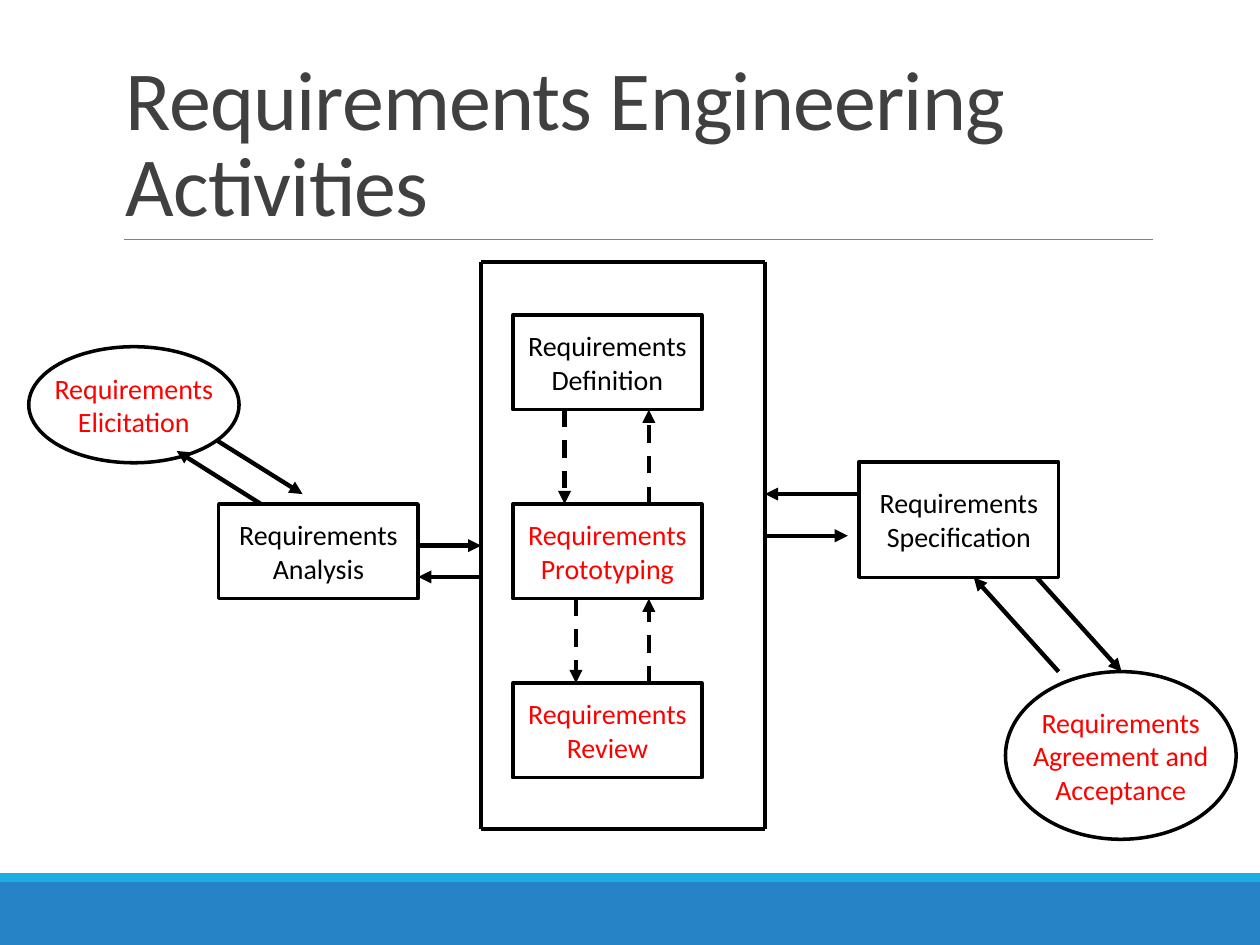
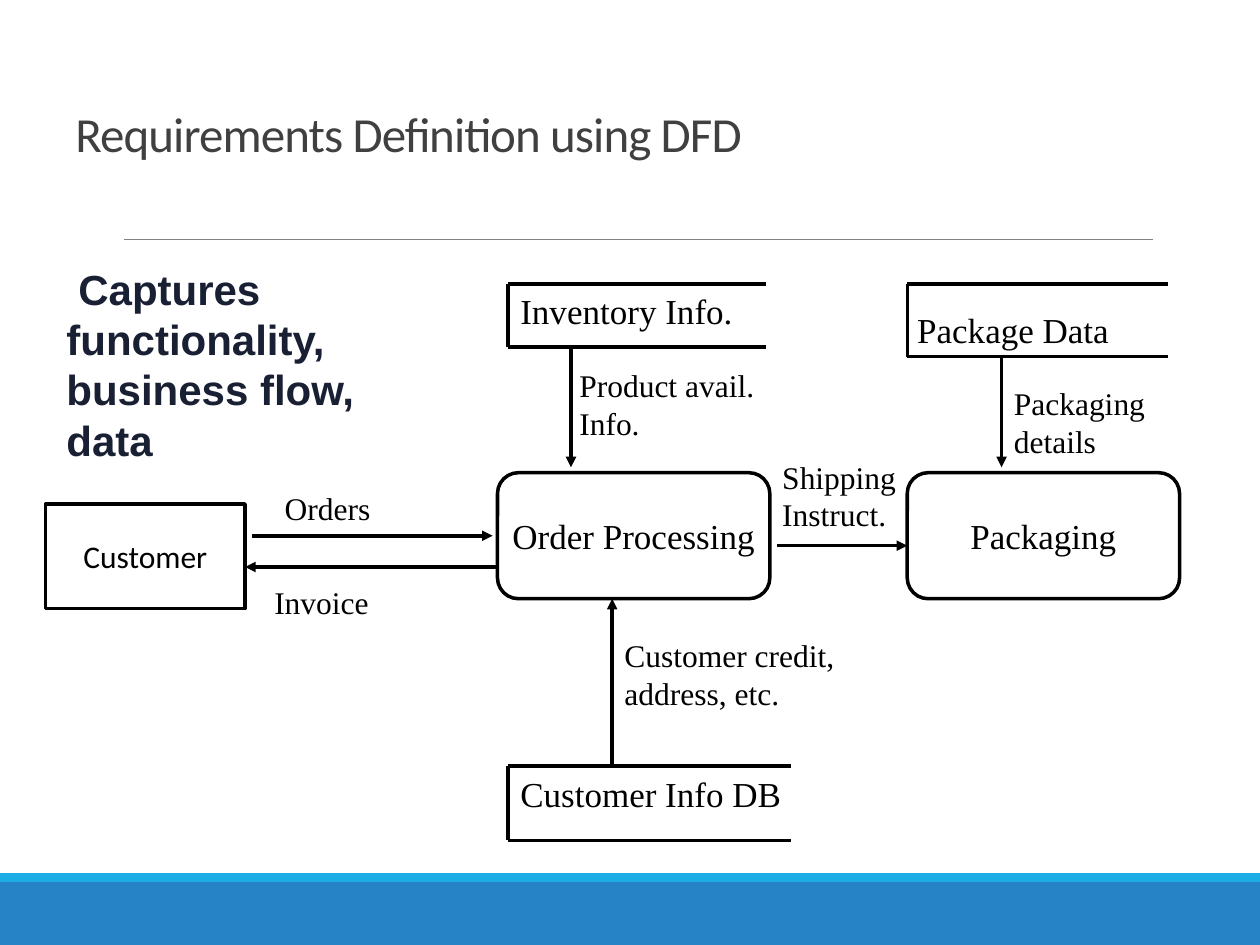
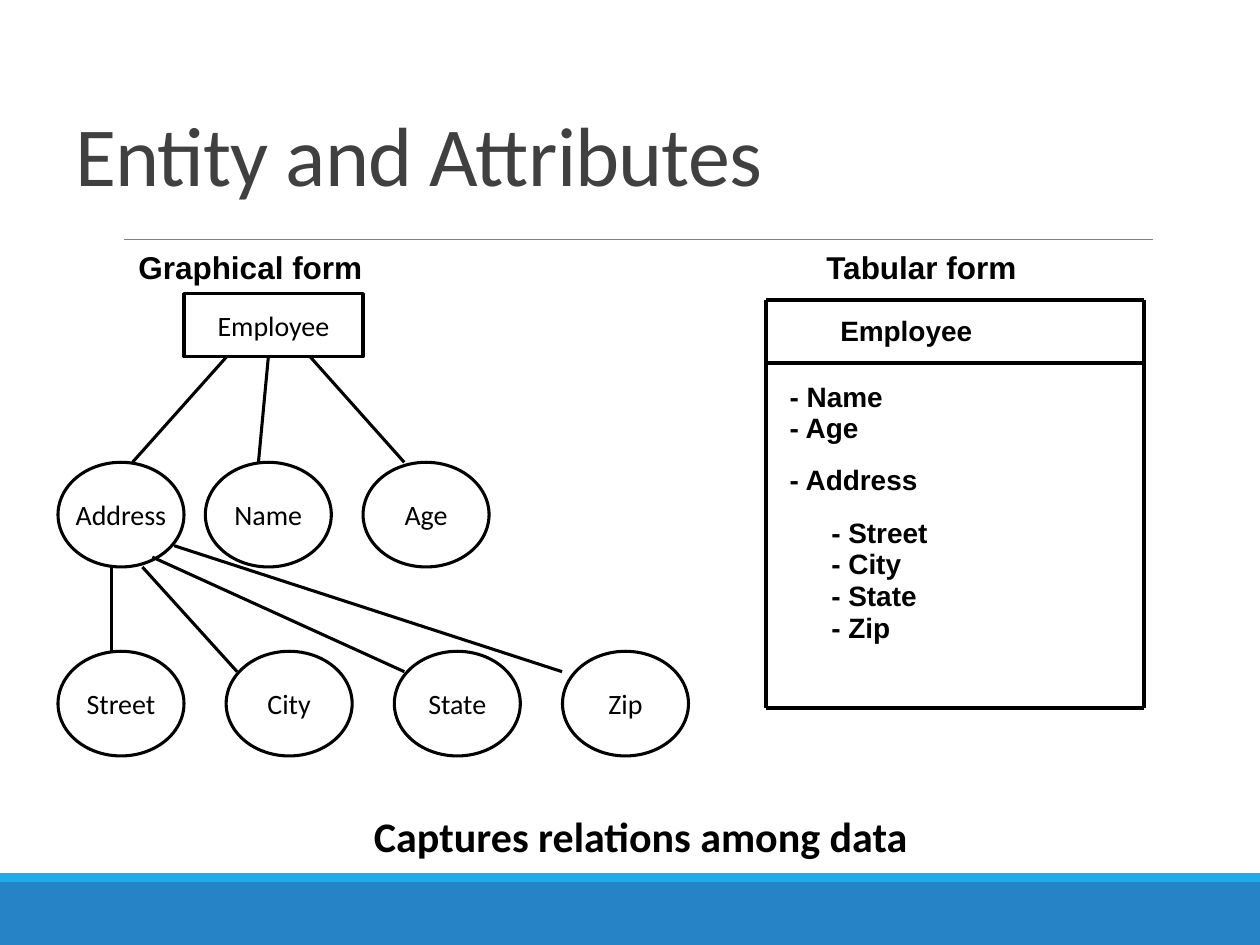
import lxml.etree
import pptx
import pptx.dml.color
import pptx.enum.dml
import pptx.enum.shapes
import pptx.enum.text
import pptx.oxml.ns
import pptx.util

Cm = pptx.util.Cm
Pt = pptx.util.Pt
RGBColor = pptx.dml.color.RGBColor
SHAPE = pptx.enum.shapes.MSO_SHAPE
ANCHOR = pptx.enum.text.MSO_ANCHOR
ALIGN = pptx.enum.text.PP_ALIGN

BLACK = RGBColor(0x00, 0x00, 0x00)
WHITE = RGBColor(0xFF, 0xFF, 0xFF)
RED = RGBColor(0xFF, 0x00, 0x00)
NAVY = RGBColor(0x1A, 0x20, 0x34)
TITLE_GRAY = RGBColor(0x40, 0x40, 0x40)
RULE_GRAY = RGBColor(0x80, 0x80, 0x80)
BAND_BLUE = RGBColor(0x26, 0x83, 0xC6)
BAND_CYAN = RGBColor(0x1C, 0xAD, 0xE4)

SANS, SERIF, BOLD_SANS = "Calibri", "Times New Roman", "Arial"

# All boxes are (left, top, width, height) and all lines (x1, y1, x2, y2), in cm.
SLIDE_WIDTH, SLIDE_HEIGHT = 25.4, 19.05
BANDS = [((0, 17.78, SLIDE_WIDTH, 1.27), BAND_BLUE), ((0, 17.6, SLIDE_WIDTH, 0.18), BAND_CYAN)]
TITLE_RULE = (2.49, 4.83, 23.24, 4.83)

# Slide 1: activities
ACTIVITIES = [
    (SHAPE.OVAL, (0.58, 6.99, 4.24, 2.34), "Requirements\nElicitation", RED),
    (SHAPE.RECTANGLE, (4.41, 10.16, 4.02, 1.91), "Requirements\nAnalysis", BLACK),
    (SHAPE.RECTANGLE, (10.34, 6.35, 3.81, 1.91), "Requirements\nDefinition", BLACK),
    (SHAPE.RECTANGLE, (10.34, 10.16, 3.81, 1.91), "Requirements\nPrototyping", RED),
    (SHAPE.RECTANGLE, (10.34, 13.77, 3.81, 1.91), "Requirements\nReview", RED),
    (SHAPE.RECTANGLE, (17.32, 9.31, 4.02, 2.33), "Requirements\nSpecification", BLACK),
    (SHAPE.OVAL, (20.27, 13.54, 4.65, 3.38), "Requirements\nAgreement and\nAcceptance", RED),
]
CORE_FRAME = (9.7, 5.28, 15.42, 16.71)
ACTIVITY_ARROWS = [
    (4.39, 8.89, 6.1, 9.96), (5.26, 10.16, 3.56, 9.09),
    (8.43, 11, 9.7, 11), (9.7, 11.63, 8.43, 11.63),
    (15.42, 10.8, 17.09, 10.8), (17.32, 9.96, 15.42, 9.96),
    (20.9, 11.64, 22.61, 13.54), (21.34, 13.54, 19.63, 11.64),
]
ITERATION_ARROWS = [
    (11.38, 8.26, 11.38, 10.16), (13.08, 10.16, 13.08, 8.26),
    (11.61, 12.07, 11.61, 13.77), (13.08, 13.77, 13.08, 12.07),
]

# Slide 2: data flow diagram
PROCESSES = [("Order Processing", 10.03), ("Packaging", 18.29)]
DATA_STORES = [  # left, top, right, bottom
    (10.24, 5.72, 15.45, 6.99), (18.29, 5.72, 23.55, 7.19), (10.24, 15.44, 15.95, 16.94),
]
FLOWS = [
    (5.08, 10.8, 9.93, 10.8), (10.03, 11.43, 4.94, 11.43),
    (12.34, 15.44, 12.34, 12.07), (11.51, 6.99, 11.51, 9.42),
    (15.67, 11, 18.29, 11), (20.19, 7.19, 20.19, 9.42),
]
STORE_LABELS = [
    ("Inventory Info.", (10.24, 5.72, 5.99, 1.09)),
    ("Package Data", (18.24, 6.1, 4.65, 1.09)),
    ("Customer Info DB", (10.24, 15.44, 6.07, 1.09)),
]
FLOW_LABELS = [
    ("Orders", (5.49, 9.73, 2.44, 1.02)),
    ("Invoice", (5.28, 11.63, 2.49, 1.02)),
    ("Customer credit,\naddress, etc.", (12.34, 12.7, 5.26, 1.78)),
    ("Product avail.\nInfo.", (11.43, 7.25, 4.32, 1.85)),
    ("Packaging\ndetails", (20.19, 7.62, 3.33, 1.78)),
    ("Shipping\nInstruct.", (15.52, 9.1, 2.95, 1.78)),
]

# Slide 3: entity and attributes
ATTRIBUTE_SIZE = (2.54, 2.11)
ATTRIBUTES = [("Address", 1.17), ("Name", 4.14), ("Age", 7.32)]
ADDRESS_PARTS = ["Street", "City", "State", "Zip"]
ADDRESS_PART_LEFT, ADDRESS_PART_STEP = 1.17, 3.39
BRANCHES = [
    (4.57, 7.19, 2.67, 9.32), (5.41, 7.19, 5.21, 9.32), (6.25, 7.19, 8.15, 9.32),
    (2.24, 11.43, 2.24, 13.13), (2.87, 11.43, 4.78, 13.54),
    (3.07, 11.23, 8.15, 13.54), (3.51, 11, 11.33, 13.54),
]
FORM_HEADINGS = [("Graphical form", 2.54), ("Tabular form", 16.41)]
FORM_LEFT, FORM_RIGHT = 15.44, 23.06
FORM_ROWS = [6.05, 7.32, 14.27]
FORM_ENTRIES = [
    ("Employee", 16.69, 6.2), ("- Name", 15.67, 7.52),
    ("- Age", 15.67, 8.15), ("- Address", 15.67, 9.19),
] + [(f"- {part}", 16.51, 10.26 + 0.64 * row) for row, part in enumerate(ADDRESS_PARTS)]


def write(shape, text, size, font_name, color=BLACK, bold=False, align=ALIGN.LEFT):
    shape.text_frame.text = text
    for paragraph in shape.text_frame.paragraphs:
        paragraph.alignment = align
        paragraph.font.size = Pt(size)
        paragraph.font.name = font_name
        paragraph.font.bold = bold
        paragraph.font.color.rgb = color


def add_label(slide, text, box, size, font_name, color=BLACK, bold=False):
    label = slide.shapes.add_textbox(*map(Cm, box))
    label.text_frame.word_wrap = True
    write(label, text, size, font_name, color, bold)
    return label


def add_filled(slide, kind, box, fill):
    shape = slide.shapes.add_shape(kind, *map(Cm, box))
    shape.shadow.inherit = False
    shape.fill.solid()
    shape.fill.fore_color.rgb = fill
    shape.line.fill.background()
    return shape


def add_node(slide, kind, box, text, size=16, font_name=SANS, color=BLACK, line_width=2):
    node = add_filled(slide, kind, box, WHITE)
    node.line.color.rgb = BLACK
    node.line.width = Pt(line_width)
    node.text_frame.word_wrap = False
    node.text_frame.vertical_anchor = ANCHOR.MIDDLE
    write(node, text, size, font_name, color, align=ALIGN.CENTER)
    return node


def add_line(slide, ends, width=2, color=BLACK, arrow=False, dashed=False):
    connector = slide.shapes.add_connector(
        pptx.enum.shapes.MSO_CONNECTOR.STRAIGHT, *map(Cm, ends))
    connector.line.color.rgb = color
    connector.line.width = Pt(width)
    if dashed:
        connector.line.dash_style = pptx.enum.dml.MSO_LINE.DASH
    qn = pptx.oxml.ns.qn
    if arrow:
        line = connector.line._get_or_add_ln()
        lxml.etree.SubElement(line, qn("a:tailEnd"), type="triangle")
    lxml.etree.SubElement(connector._element.spPr, qn("a:effectLst"))


def start_slide(presentation, title, box, size=48):
    """Add a slide with the shared bands, title rule and title."""
    slide = presentation.slides.add_slide(presentation.slide_layouts[6])
    for band, color in BANDS:
        add_filled(slide, SHAPE.RECTANGLE, band, color)
    add_line(slide, TITLE_RULE, 0.5, RULE_GRAY)
    heading = add_label(slide, title, box, size, SANS, TITLE_GRAY)
    heading.text_frame.vertical_anchor = ANCHOR.BOTTOM
    paragraph = heading.text_frame.paragraphs[0]
    paragraph.line_spacing = 0.85
    paragraph.runs[0]._r.get_or_add_rPr().set("spc", "-50")
    return slide


def build_activities(presentation):
    slide = start_slide(presentation, "Requirements Engineering Activities",
                        (2.29, 0.79, 20.96, 4.04))
    for kind, box, text, color in ACTIVITIES:
        add_node(slide, kind, box, text, color=color)
    left, top, right, bottom = CORE_FRAME
    for x in (left, right):
        add_line(slide, (x, top, x, bottom))
    for y in (top, bottom):
        add_line(slide, (left, y, right, y), 2.5)
    for ends in ACTIVITY_ARROWS:
        add_line(slide, ends, 2.5, arrow=True)
    for ends in ITERATION_ARROWS:
        add_line(slide, ends, 2.5, arrow=True, dashed=True)


def build_data_flow(presentation):
    slide = start_slide(presentation, "Requirements Definition using DFD",
                        (1.27, 0.43, 22.17, 2.97), 28)
    for name, left in PROCESSES:
        process = add_node(slide, SHAPE.ROUNDED_RECTANGLE, (left, 9.53, 5.49, 2.54),
                           name, 20, SERIF)
        process.adjustments[0] = 0.166
    add_node(slide, SHAPE.RECTANGLE, (0.92, 10.16, 4.02, 2.11), "Customer", 18)
    for left, top, right, bottom in DATA_STORES:
        add_line(slide, (left, top, left, bottom))
        for y in (top, bottom):
            add_line(slide, (left, y, right, y))
    for ends in FLOWS:
        add_line(slide, ends, arrow=True)
    for labels, size in ((STORE_LABELS, 20), (FLOW_LABELS, 18)):
        for text, box in labels:
            add_label(slide, text, box, size, SERIF)
    purpose = add_label(slide, "Captures functionality, business flow, data",
                        (1.09, 5.18, 7.34, 4.37), 24, BOLD_SANS, NAVY, True)
    properties = purpose.text_frame.paragraphs[0]._p.get_or_add_pPr()
    properties.set("indent", str(Cm(0.24)))


def build_entity(presentation):
    slide = start_slide(presentation, "Entity and Attributes", (1.27, 0.43, 18.16, 3.81))
    add_node(slide, SHAPE.RECTANGLE, (3.71, 5.92, 3.61, 1.27), "Employee", line_width=1.75)
    ovals = [(name, left, 9.32) for name, left in ATTRIBUTES]
    ovals += [(name, ADDRESS_PART_LEFT + ADDRESS_PART_STEP * column, 13.13)
              for column, name in enumerate(ADDRESS_PARTS)]
    for name, left, top in ovals:
        add_node(slide, SHAPE.OVAL, (left, top, *ATTRIBUTE_SIZE), name, line_width=1.75)
    for ends in BRANCHES:
        add_line(slide, ends, 1.75)

    for y in FORM_ROWS:
        add_line(slide, (FORM_LEFT, y, FORM_RIGHT, y))
    for x in (FORM_LEFT, FORM_RIGHT):
        add_line(slide, (x, FORM_ROWS[0], x, FORM_ROWS[-1]))
    for text, left in FORM_HEADINGS:
        add_label(slide, text, (left, 4.88, 5.3, 1.02), 18, BOLD_SANS, bold=True)
    for text, left, top in FORM_ENTRIES:
        add_label(slide, text, (left, top, 3.4, 0.94), 16, BOLD_SANS, bold=True)
    add_label(slide, "Captures relations among data", (7.29, 16.21, 13.61, 1.27),
              24, SANS, bold=True)


def main():
    presentation = pptx.Presentation()
    presentation.slide_width = Cm(SLIDE_WIDTH)
    presentation.slide_height = Cm(SLIDE_HEIGHT)
    build_activities(presentation)
    build_data_flow(presentation)
    build_entity(presentation)
    presentation.save("out.pptx")


if __name__ == "__main__":
    main()
